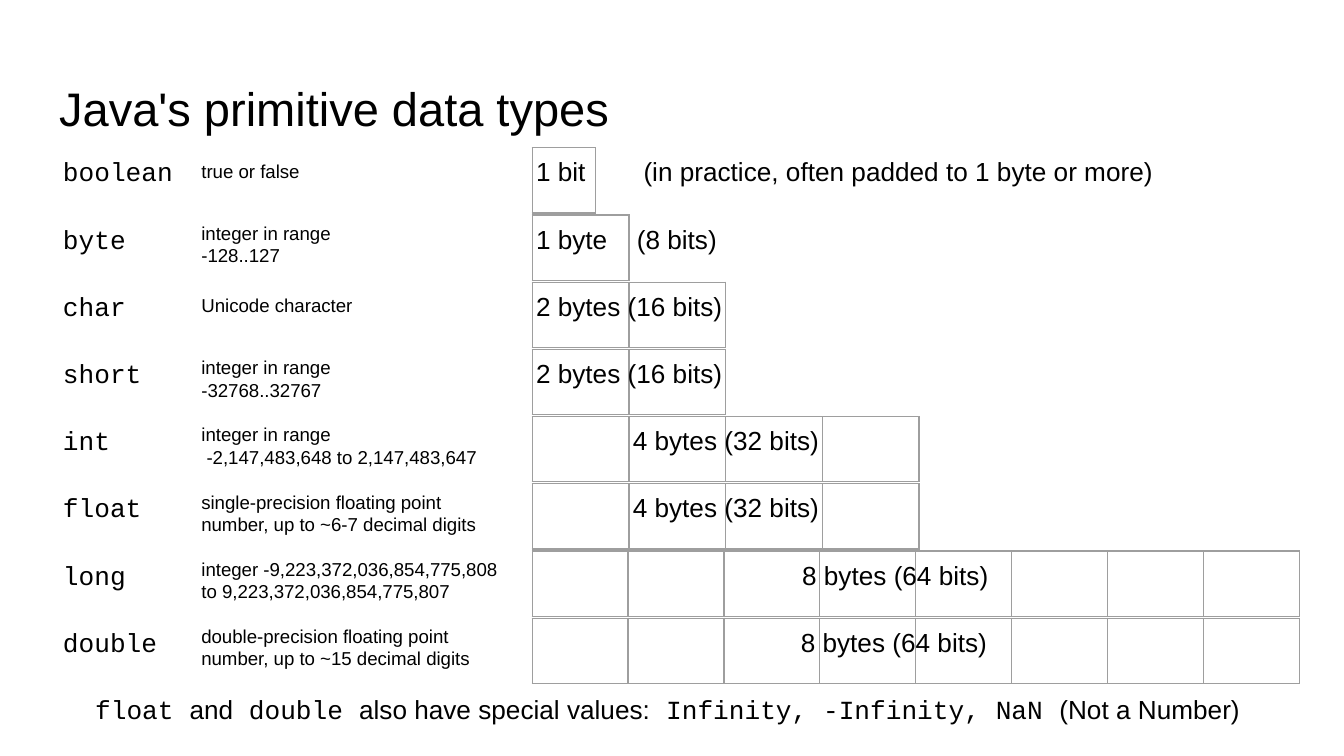
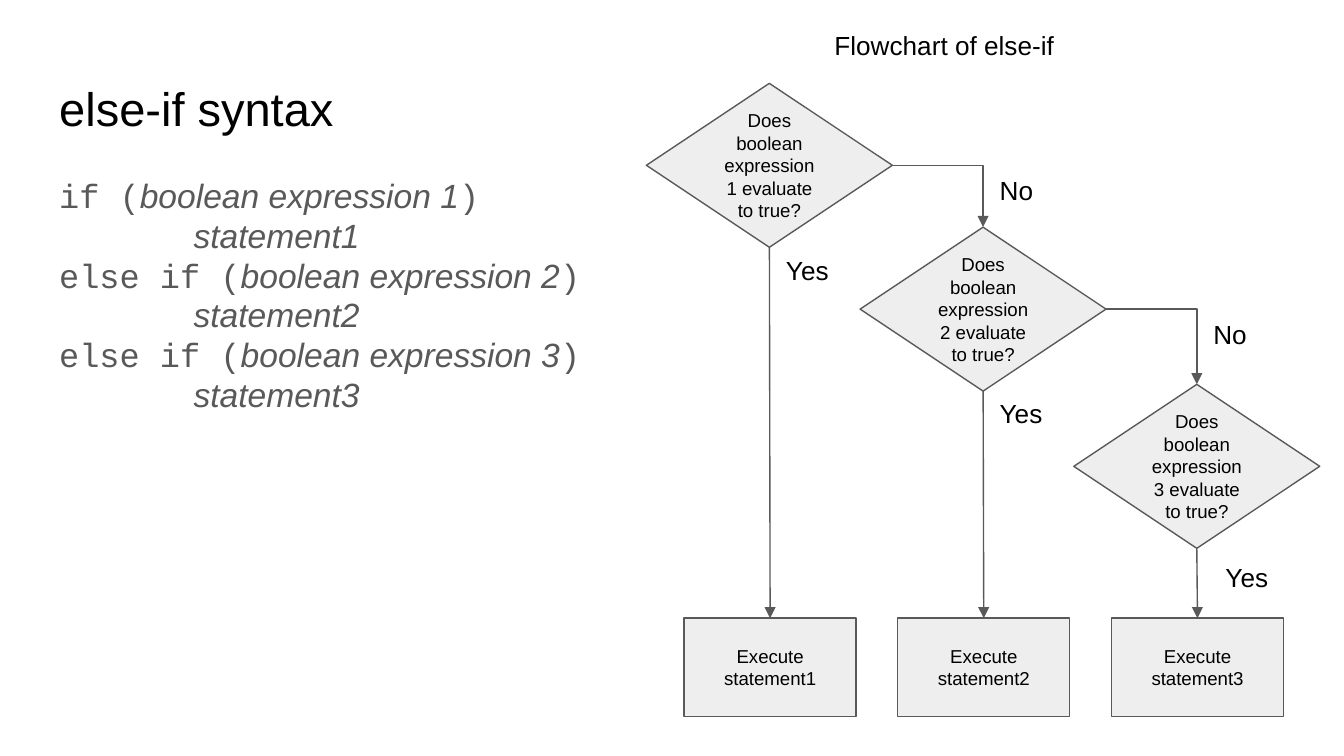
from copy import deepcopy

from lxml.etree import SubElement
from pptx import Presentation
from pptx.dml.color import RGBColor
from pptx.enum.shapes import MSO_CONNECTOR, MSO_SHAPE
from pptx.enum.text import MSO_ANCHOR, MSO_AUTO_SIZE, PP_ALIGN
from pptx.oxml.ns import qn
from pptx.util import Inches, Pt

BLACK = RGBColor(0x00, 0x00, 0x00)
GRAY = RGBColor(0x59, 0x59, 0x59)
PALE = RGBColor(0xEE, 0xEE, 0xEE)
GRID = RGBColor(0x9E, 0x9E, 0x9E)

SANS, MONO = "Arial", "Courier New"
TITLE = {"name": SANS, "size": Pt(25.2)}
LABEL = {"name": SANS, "size": Pt(14)}
KEYWORD = {"name": MONO, "size": Pt(14)}
SMALL = {"name": SANS, "size": Pt(10)}
CODE = {"name": MONO, "size": Pt(18), "italic": False}
VARIABLE = {"name": SANS, "size": Pt(18), "italic": True}

FRAME = {"word_wrap": True, "auto_size": MSO_AUTO_SIZE.NONE}
FRAME.update({f"margin_{side}": Inches(0.1) for side in ("left", "top", "right", "bottom")})

# name, description, description width, bytes label, label left, cells, total cell width
PRIMITIVES = [
    ("boolean", "true or false", 3.35,
     "1 bit\t(in practice, often padded to 1 byte or more)", 3.55, 1, 0.47),
    ("byte", "integer in range -128..127", 1.74, "1 byte\t(8 bits)", 3.55, 1, 0.72),
    ("char", "Unicode character", 3.35, "2 bytes (16 bits)", 3.55, 2, 1.44),
    ("short", "integer in range\v-32768..32767", 2.14, "2 bytes (16 bits)", 3.55, 2, 1.44),
    ("int", "integer in range\v -2,147,483,648 to 2,147,483,647", 3.35,
     "4 bytes (32 bits)", 4.27, 4, 2.88),
    ("float", "single-precision floating point number, up to ~6-7 decimal digits", 2.43,
     "4 bytes (32 bits)", 4.27, 4, 2.88),
    ("long", "integer -9,223,372,036,854,775,808\vto 9,223,372,036,854,775,807", 3.35,
     "8 bytes (64 bits)", 5.53, 8, 5.71),
    ("double", "double-precision floating point number, up to ~15 decimal digits", 2.43,
     "8 bytes (64 bits)", 5.52, 8, 5.71),
]
TAB_STOPS = {"boolean": 0.8, "byte": 0.75}
ROW_PITCH = 0.5


def apply(target, values):
    for key, value in values.items():
        setattr(target, key, value)


def style_run(run, values, color):
    apply(run.font, values)
    run.font.color.rgb = color


def write(frame, text, values, color=BLACK):
    """Fill the first paragraph; a vertical tab breaks the line."""
    apply(frame, FRAME)
    paragraph = frame.paragraphs[0]
    paragraph.text = text
    for run in paragraph.runs:
        style_run(run, values, color)
    for line_break in paragraph._p.findall(qn("a:br")):
        line_break.append(deepcopy(paragraph.runs[0]._r.rPr))
    return paragraph


def add_runs(paragraph, parts, color=BLACK):
    for text, values in parts:
        run = paragraph.add_run()
        run.text = text
        style_run(run, values, color)


def add_label(slide, left, top, width, height, text, values):
    box = slide.shapes.add_textbox(Inches(left), Inches(top), Inches(width), Inches(height))
    return write(box.text_frame, text, values)


def place(shape, left, top, width, height):
    apply(shape, {"left": Inches(left), "top": Inches(top),
                  "width": Inches(width), "height": Inches(height)})


def start_slide(prs, layout, title):
    slide = prs.slides.add_slide(prs.slide_layouts[layout])
    place(slide.shapes.title, 0.34, 0.49, 9.32, 0.63)
    paragraph = write(slide.shapes.title.text_frame, title, TITLE)
    paragraph.alignment = PP_ALIGN.LEFT
    slide.shapes.title.text_frame.vertical_anchor = MSO_ANCHOR.MIDDLE
    return slide


def border_cell(cell):
    cell.fill.background()
    apply(cell, {"margin_top": Inches(0.09), "margin_bottom": Inches(0.09)})
    properties = cell._tc.get_or_add_tcPr()
    for index, side in enumerate(("lnL", "lnR", "lnT", "lnB")):
        line = SubElement(properties, qn(f"a:{side}"), w=str(Pt(0.75)))
        fill = SubElement(line, qn("a:solidFill"))
        SubElement(fill, qn("a:srgbClr"), val=str(GRID))
        properties.insert(index, line)


def add_byte_cells(slide, left, top, width, count):
    table = slide.shapes.add_table(1, count, Inches(left), Inches(top),
                                   Inches(width), Inches(0.33)).table
    apply(table, {"first_row": False, "horz_banding": False})
    for column in table.columns:
        column.width = Inches(width / count)
    for cell in table.iter_cells():
        border_cell(cell)


def add_primitive(slide, left, top, primitive):
    name, description, width, size, size_left, count, cells_width = primitive
    add_byte_cells(slide, left + 3.62, top + 0.04, cells_width, count)
    add_label(slide, left + 0.03, top, 1.19, 0.44, name, KEYWORD)
    one_line = len(description) < 20
    add_label(slide, left + 1.06, top + (0.03 if one_line else -0.01), width,
              0.37 if one_line else 0.54, description, SMALL)
    paragraph = add_label(slide, left + size_left, top, 5.67 if name == "boolean" else 3.35,
                          0.44, size, LABEL)
    if name in TAB_STOPS:
        tabs = SubElement(paragraph._p.get_or_add_pPr(), qn("a:tabLst"))
        SubElement(tabs, qn("a:tab"), pos=str(Inches(TAB_STOPS[name])), algn="l")


def build_primitives_slide(prs):
    slide = start_slide(prs, 5, "Java's primitive data types")
    for row, primitive in enumerate(PRIMITIVES):
        add_primitive(slide, 0.34, 1.06 + row * ROW_PITCH, primitive)
    note = add_label(slide, 0.61, 5.06, 8.78, 0.44, "", LABEL)
    add_runs(note, [("float ", KEYWORD), ("and", LABEL), (" double ", KEYWORD),
                    ("also have special values:", LABEL),
                    (" Infinity, -Infinity, NaN ", KEYWORD), ("(Not a Number)", LABEL)])


def add_syntax(body, left, top, width, height):
    place(body, left, top, width, height)
    frame = body.text_frame
    apply(frame, FRAME)
    lines = []
    for number, keyword in enumerate(("if (", "else if (", "else if ("), 1):
        lines.append((0, [(keyword, CODE), (f"boolean expression {number}", VARIABLE),
                          (")", CODE)]))
        lines.append((1, [(f"statement{number}", VARIABLE)]))
    for index, (indent, parts) in enumerate(lines):
        paragraph = frame.add_paragraph() if index else frame.paragraphs[0]
        properties = paragraph._p.get_or_add_pPr()
        properties.set("marL", str(Inches(indent)))
        properties.set("indent", "0")
        SubElement(properties, qn("a:buNone"))
        apply(paragraph, {"line_spacing": 0.8, "space_before": Pt(4 if index else 0)})
        add_runs(paragraph, parts, GRAY)


def add_node(slide, kind, left, top, width, height, text):
    node = slide.shapes.add_shape(kind, Inches(left), Inches(top), Inches(width), Inches(height))
    node.shadow.inherit = False
    node.fill.solid()
    node.fill.fore_color.rgb = PALE
    node.line.color.rgb = GRAY
    node.line.width = Pt(0.75)
    write(node.text_frame, text, SMALL).alignment = PP_ALIGN.CENTER
    node.text_frame.vertical_anchor = MSO_ANCHOR.MIDDLE
    return node


def add_arrow(slide, source, site, target, bent=False):
    """Join a connection site of the source to the top of the target."""
    kind = MSO_CONNECTOR.ELBOW if bent else MSO_CONNECTOR.STRAIGHT
    arrow = slide.shapes.add_connector(kind, 0, 0, 0, 0)
    arrow.begin_connect(source, site)
    arrow.end_connect(target, 0)
    arrow.line.color.rgb = GRAY
    arrow.line.width = Pt(0.75)
    properties = arrow._element.spPr
    if bent:
        properties.find(qn("a:prstGeom")).set("prst", "bentConnector2")
    SubElement(properties.find(qn("a:ln")), qn("a:tailEnd"), type="triangle")
    SubElement(properties, qn("a:effectLst"))


def add_flowchart(slide, left, top):
    bottom_site, right_site = 2, 3
    add_label(slide, left + 1.3, top, 3.28, 0.44, "Flowchart of else-if", LABEL)
    yes_offsets = [(0.94, 1.17), (0.94, 1.17), (1.03, 1.22)]
    decisions = []
    for index, (decision_top, (yes_x, yes_y)) in enumerate(zip((0.5, 1.57, 2.74), yes_offsets)):
        x, y, number = left + index * 1.59, top + decision_top, index + 1
        decision = add_node(slide, MSO_SHAPE.FLOWCHART_DECISION, x, y, 1.83, 1.22,
                            f"Does boolean expression {number} evaluate to true?")
        action = add_node(slide, MSO_SHAPE.RECTANGLE, x + 0.28, top + 4.48, 1.28, 0.73,
                          f"Execute statement{number}")
        add_arrow(slide, decision, bottom_site, action)
        add_label(slide, x + yes_x, y + yes_y, 0.53, 0.44, "Yes", LABEL)
        decisions.append(decision)
    for source, target in zip(decisions, decisions[1:]):
        add_arrow(slide, source, right_site, target, bent=True)
        add_label(slide, source.left.inches + 2.53, source.top.inches + 0.58, 0.53, 0.44,
                  "No", LABEL)


def build_else_if_slide(prs):
    slide = start_slide(prs, 1, "else-if syntax")
    add_syntax(slide.placeholders[1], 0.34, 1.26, 4.86, 3.74)
    add_flowchart(slide, 4.81, 0.12)


def main():
    prs = Presentation()
    prs.slide_width = Inches(10)
    prs.slide_height = prs.slide_width * 9 // 16
    build_primitives_slide(prs)
    build_else_if_slide(prs)
    prs.save("out.pptx")


if __name__ == "__main__":
    main()
